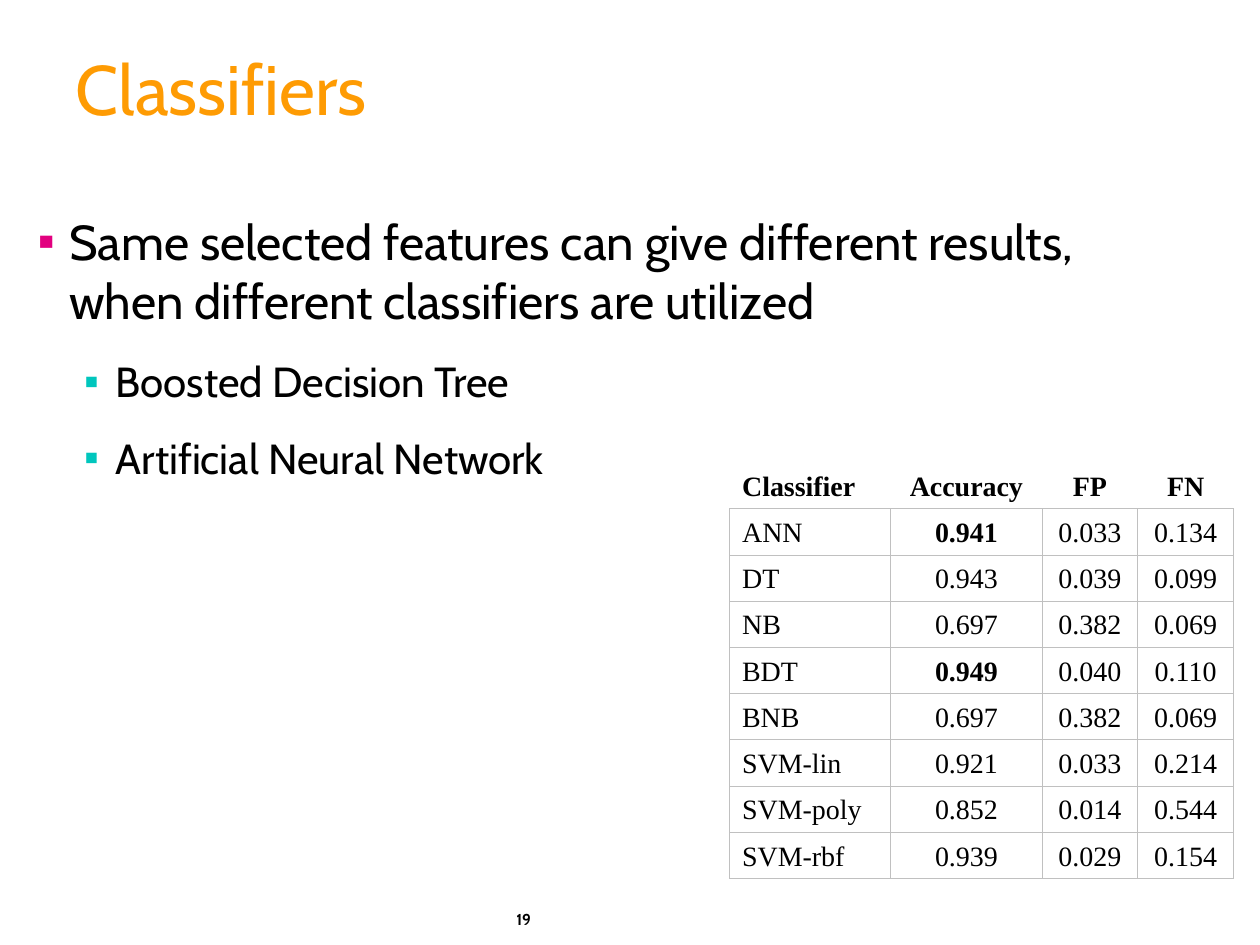
from dataclasses import dataclass
from typing import Any, NamedTuple

from lxml.etree import SubElement
from pptx import Presentation
from pptx.dml.color import RGBColor
from pptx.enum.text import MSO_VERTICAL_ANCHOR as Anchor, PP_PARAGRAPH_ALIGNMENT as Align
from pptx.oxml.ns import qn
from pptx.util import Inches, Pt


@dataclass(frozen=True)
class Theme:
    """Colours, fonts and type sizes of the slide."""
    heading: str = "FE9B03"
    ink: str = "000000"
    grid: str = "C0C0C0"
    bullet: str = "E2007F"
    sub_bullet: str = "00C6BD"
    font: str = "Cabin"
    table_font: str = "Times New Roman"
    title_size: int = 40
    body_size: int = 28
    sub_size: int = 24
    table_size: int = 16
    number_size: int = 9
    grid_width: float = 0.45


class Bullet(NamedTuple):
    """One bulleted line of the body."""
    text: str
    level: int
    size: int
    color: str
    indent: float
    before: float


class Result(NamedTuple):
    """Scores of one classifier."""
    name: str
    accuracy: str
    false_positive: str
    false_negative: str
    highlighted: bool = False


THEME = Theme()
BULLETS = [
    Bullet("Same selected features can give different results, when different classifiers are utilized",
           0, THEME.body_size, THEME.bullet, 0.25, 0),
    *(Bullet(text, 1, THEME.sub_size, THEME.sub_bullet, 0.62, 15)
      for text in ("Boosted Decision Tree", "Artificial Neural Network")),
]
HEADER = ("Classifier", "Accuracy", "FP", "FN")
RESULTS = [
    Result("ANN", "0.941", "0.033", "0.134", True),
    Result("DT", "0.943", "0.039", "0.099"),
    Result("NB", "0.697", "0.382", "0.069"),
    Result("BDT", "0.949", "0.040", "0.110", True),
    Result("BNB", "0.697", "0.382", "0.069"),
    Result("SVM-lin", "0.921", "0.033", "0.214"),
    Result("SVM-poly", "0.852", "0.014", "0.544"),
    Result("SVM-rbf", "0.939", "0.029", "0.154"),
]
COLUMN_WIDTHS = (1.28, 1.2, 0.76, 0.76)
TABLE_HEIGHT = 3.3


def write(paragraph: Any, text: str, *, size: float, font: str = THEME.font,
          color: str = THEME.ink, bold: bool = False, align: Align = Align.LEFT) -> None:
    """Add formatted text to a paragraph."""
    paragraph.alignment = align
    run = paragraph.add_run()
    run.text = text
    run.font.size = Pt(size)
    run.font.name = font
    run.font.bold = bold
    run.font.color.rgb = RGBColor.from_string(color)


def add_title(slide: Any, text: str) -> None:
    """Place and fill the title placeholder."""
    title = slide.shapes.title
    title.left, title.top, title.width, title.height = map(Inches, (0.5, 0.25, 9.08, 1))
    title.text_frame.vertical_anchor = Anchor.MIDDLE
    paragraph = title.text_frame.paragraphs[0]
    paragraph.line_spacing = 0.85
    write(paragraph, text, size=THEME.title_size, color=THEME.heading)


def add_text_frame(slide: Any, left: float, top: float, width: float, height: float) -> Any:
    """Add a wrapping text box and return its frame."""
    box = slide.shapes.add_textbox(*map(Inches, (left, top, width, height)))
    box.text_frame.word_wrap = True
    return box.text_frame


def add_bullets(frame: Any, bullets: list[Bullet]) -> None:
    """Write the bulleted lines with hanging indents."""
    for index, bullet in enumerate(bullets):
        paragraph = frame.add_paragraph() if index else frame.paragraphs[0]
        paragraph.level = bullet.level
        paragraph.space_before = Pt(bullet.before)
        write(paragraph, bullet.text, size=bullet.size)
        properties = paragraph._p.get_or_add_pPr()
        properties.set("marL", str(Inches(bullet.indent)))
        properties.set("indent", str(Inches(-0.25)))
        color = SubElement(properties, qn("a:buClr"))
        SubElement(color, qn("a:srgbClr"), val=bullet.color)
        SubElement(properties, qn("a:buFont"), typeface="Arial")
        SubElement(properties, qn("a:buChar"), char="▪")


def set_borders(cell: Any, visible: str) -> None:
    """Draw the named sides of a cell and hide the others."""
    properties = cell._tc.get_or_add_tcPr()
    for side in "LRTB":
        line = SubElement(properties, qn(f"a:ln{side}"), w=str(Pt(THEME.grid_width)))
        if side in visible:
            fill = SubElement(line, qn("a:solidFill"))
            SubElement(fill, qn("a:srgbClr"), val=THEME.grid)
        else:
            SubElement(line, qn("a:noFill"))


def add_results_table(slide: Any, results: list[Result]) -> None:
    """Add the table of classifier scores."""
    rows = [HEADER, *(result[:4] for result in results)]
    table = slide.shapes.add_table(
        len(rows), len(HEADER), Inches(5.79), Inches(3.67),
        Inches(sum(COLUMN_WIDTHS)), Inches(TABLE_HEIGHT)).table
    table.horz_banding = False
    table.first_row = False
    for column, width in zip(table.columns, COLUMN_WIDTHS):
        column.width = Inches(width)
    for row_index, values in enumerate(rows):
        table.rows[row_index].height = Inches(TABLE_HEIGHT / len(rows))
        is_header = row_index == 0
        for column_index, value in enumerate(values):
            cell = table.cell(row_index, column_index)
            set_borders(cell, "B" if is_header else "LRTB")
            cell.fill.background()
            cell.vertical_anchor = Anchor.BOTTOM
            bold = is_header or (column_index == 1 and results[row_index - 1].highlighted)
            write(cell.text_frame.paragraphs[0], value, size=THEME.table_size,
                  font=THEME.table_font, bold=bold,
                  align=Align.CENTER if column_index else Align.LEFT)


def main() -> None:
    """Build and save the slide."""
    presentation = Presentation()
    presentation.slide_width, presentation.slide_height = Inches(10), Inches(7.5)
    slide = presentation.slides.add_slide(presentation.slide_layouts.get_by_name("Title Only"))
    add_title(slide, "Classifiers")
    number = add_text_frame(slide, 4, 7.17, 1.02, 0.33)
    write(number.paragraphs[0], "19", size=THEME.number_size, bold=True)
    add_bullets(add_text_frame(slide, 0.2, 1.63, 8.55, 4.54), BULLETS)
    add_results_table(slide, RESULTS)
    presentation.save("out.pptx")


if __name__ == "__main__":
    main()
